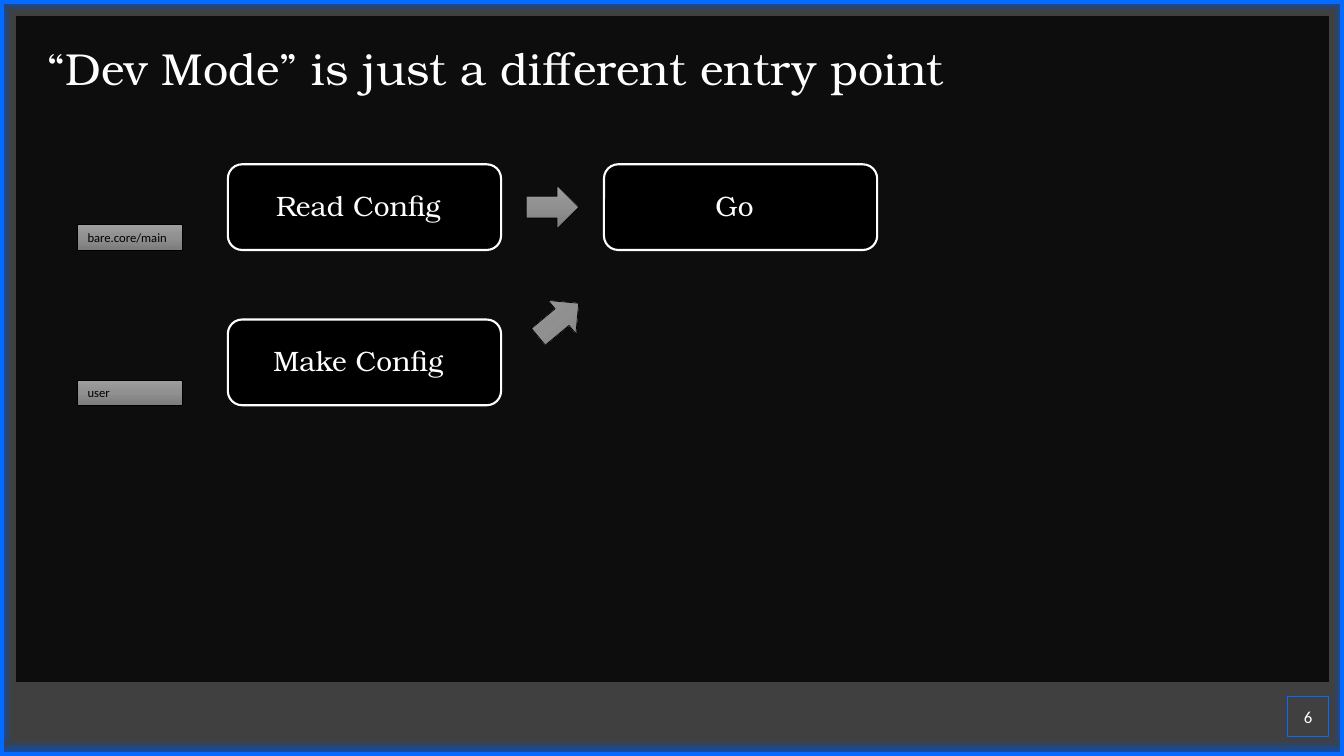
"""Builds the slide on dev mode as a different entry point."""
from lxml import etree
from pptx import Presentation
from pptx.dml import color
from pptx.enum import shapes, text
from pptx.oxml import ns
from pptx.util import Inches, Pt

WIDTH, HEIGHT = 13.33, 7.5
SERIF, SANS = "TeX Gyre Bonum", "Calibri"
BLUE, GLOW, GREY, WHITE, BLACK = "056AFF", "004FC3", "404040", "FFFFFF", "000000"
STEEL = [(0, "9D9D9D"), (50, "909090"), (100, "7C7C7C")]
KINDS = shapes.MSO_SHAPE
CENTER = text.PP_ALIGN.CENTER
MIDDLE = text.MSO_ANCHOR.MIDDLE


def rgb(value):
    """Turn a hex string into a colour."""
    return color.RGBColor.from_string(value)


def paint(shape, fill=None, line=None, width=1):
    """Give a shape a plain fill and outline, or none."""
    shape.shadow.inherit = False
    if fill:
        shape.fill.solid()
        shape.fill.fore_color.rgb = rgb(fill)
    else:
        shape.fill.background()
    if line:
        shape.line.color.rgb = rgb(line)
        shape.line.width = Pt(width)
    else:
        shape.line.fill.background()


def shade(shape, stops, angle):
    """Fill a shape with a linear gradient, its angle measured clockwise."""
    shape.fill.gradient()
    shape.fill.gradient_angle = -angle % 360
    stop_list = next(shape._element.iter(ns.qn("a:gsLst")))
    for stop in list(stop_list):
        stop_list.remove(stop)
    for position, value in stops:
        stop = etree.SubElement(stop_list, ns.qn("a:gs"), pos=str(position * 1000))
        etree.SubElement(stop, ns.qn("a:srgbClr"), val=value)


def write(shape, words, size, font, ink, insets=(0, 0, 0, 0), **layout):
    """Write one paragraph in a shape."""
    frame = shape.text_frame
    sides = ("margin_left", "margin_top", "margin_right", "margin_bottom")
    settings = dict(zip(sides, map(Inches, insets)))
    settings["word_wrap"] = True
    settings["vertical_anchor"] = layout.pop("anchor", text.MSO_ANCHOR.TOP)
    for name, value in settings.items():
        setattr(frame, name, value)
    para = frame.paragraphs[0]
    for name, value in {"alignment": text.PP_ALIGN.LEFT, **layout}.items():
        setattr(para, name, value)
    span = para.add_run()
    span.text = words
    for name, value in {"size": Pt(size), "name": font}.items():
        setattr(span.font, name, value)
    span.font.color.rgb = rgb(ink)


def add_shape(page, kind, place, **look):
    """Add a painted preset shape."""
    shape = page.shapes.add_shape(kind, *map(Inches, place))
    paint(shape, **look)
    return shape


def add_border(page, thickness=0.04):
    """Add the glowing edges and the thin frame around the slide."""
    edges = [
        ((0, 6.77, WIDTH, 0.73), 21, 270),
        ((0, 0, WIDTH, 0.16), 72, 90),
        ((0, 0.1, 0.16, 7.25), 72, 0),
        ((13.18, 0.1, 0.16, 7.25), 72, 180),
    ]
    for place, end, angle in edges:
        edge = add_shape(page, KINDS.RECTANGLE, place)
        shade(edge, [(0, GLOW), (end, GREY)], angle)

    right, bottom = WIDTH - thickness, HEIGHT - thickness
    inner = [(thickness, thickness), (thickness, bottom), (right, bottom), (right, thickness)]
    outer = [(0, 0), (WIDTH, 0), (WIDTH, HEIGHT), (0, HEIGHT)]
    inner, outer = ([(Inches(x), Inches(y)) for x, y in ring] for ring in (inner, outer))
    builder = page.shapes.build_freeform(*inner[0])
    builder.add_line_segments(inner[1:], close=True)
    builder.move_to(*outer[0])
    builder.add_line_segments(outer[1:], close=True)
    paint(builder.convert_to_shape(), BLUE)


def add_title(page, words):
    """Add the slide title."""
    box = page.shapes.add_textbox(*map(Inches, (0.47, 0.47, 12.4, 0.47)))
    write(box, words, 32, SERIF, WHITE, anchor=MIDDLE, line_spacing=0.9)


def add_number(page, number):
    """Add the framed page number."""
    box = add_shape(page, KINDS.RECTANGLE, (12.77, 6.91, 0.41, 0.4), line=BLUE, width=0.75)
    write(box, number, 12, SANS, WHITE, anchor=MIDDLE, alignment=CENTER)


def add_step(page, words, left, top):
    """Add a rounded step box."""
    place = (left, top, 2.71, 0.85)
    box = add_shape(page, KINDS.ROUNDED_RECTANGLE, place, fill=BLACK, line=WHITE, width=1.5)
    write(box, words, 20, SERIF, WHITE, (0.08, 0.2, 0.2, 0), alignment=CENTER)


def add_caller(page, words, top):
    """Add the small label that names who enters at a step."""
    label = add_shape(page, KINDS.RECTANGLE, (0.77, top, 1.04, 0.25), line=BLACK, width=0.5)
    shade(label, STEEL, 90)
    write(label, words, 9, SANS, BLACK, (0.1, 0.05, 0.1, 0.05))


def add_arrow(page, left, top, turn=0):
    """Add a block arrow."""
    arrow = add_shape(page, KINDS.RIGHT_ARROW, (left, top, 0.52, 0.43), line=BLACK, width=0.5)
    shade(arrow, STEEL, 90)
    arrow.rotation = turn


def main():
    """Build and save the slide."""
    deck = Presentation()
    deck.slide_width, deck.slide_height = Inches(WIDTH), Inches(HEIGHT)
    page = deck.slides.add_slide(deck.slide_layouts[6])
    page.background.fill.solid()
    page.background.fill.fore_color.rgb = rgb("0D0D0D")
    add_border(page)
    add_number(page, "6")
    add_title(page, "“Dev Mode” is just a different entry point")
    entries = [("Read Config", "bare.core/main", 1.63), ("Make Config", "user", 3.17)]
    for step, caller, top in entries:
        add_step(page, step, 2.26, top)
        add_caller(page, caller, top + 0.6)
    add_step(page, "Go", 5.99, 1.63)
    add_arrow(page, 5.22, 1.84)
    add_arrow(page, 5.28, 2.96, 320.2)
    deck.save("out.pptx")


if __name__ == "__main__":
    main()
